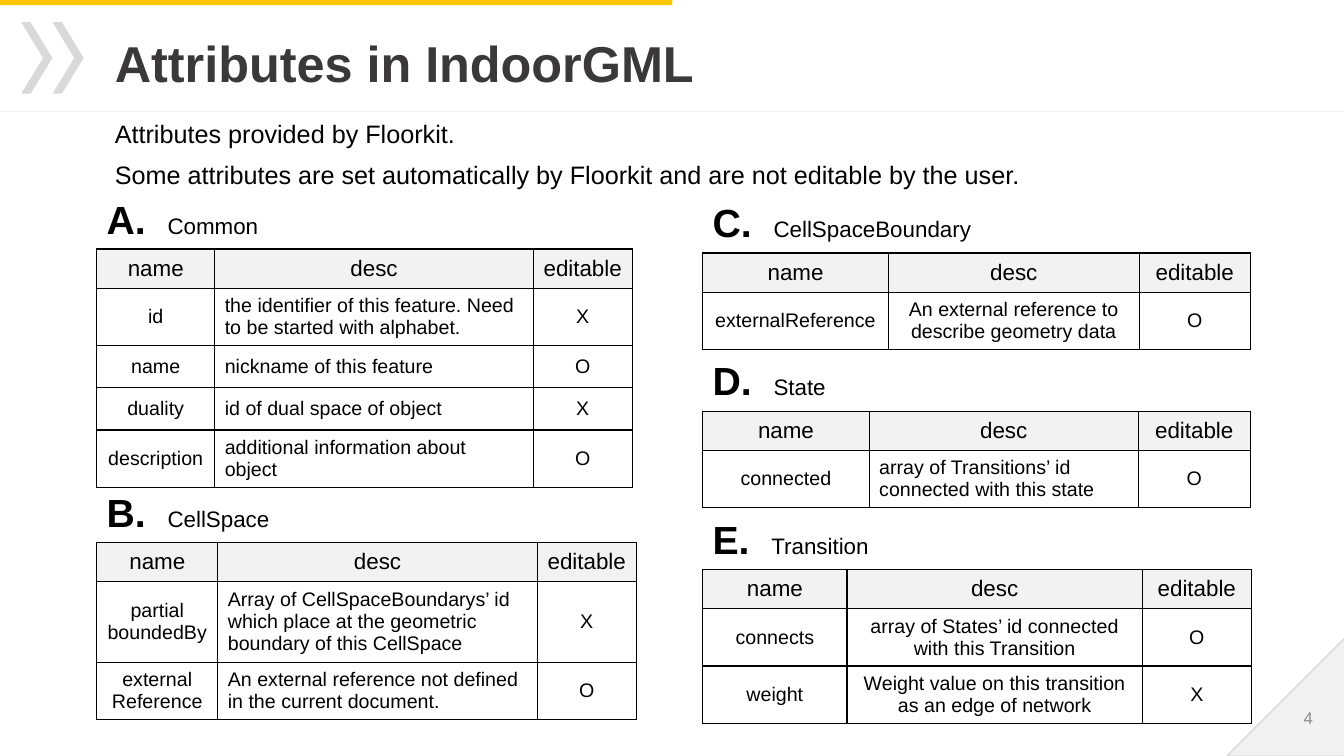
import pptx
import pptx.util
import pptx.dml.color
import pptx.enum.shapes
import pptx.enum.text
from lxml import etree

Inches, Pt = pptx.util.Inches, pptx.util.Pt
SHAPE = pptx.enum.shapes.MSO_SHAPE
ANCHOR = pptx.enum.text.MSO_ANCHOR
FIT = pptx.enum.text.MSO_AUTO_SIZE
LEFT, CENTER, RIGHT = (pptx.enum.text.PP_ALIGN.LEFT, pptx.enum.text.PP_ALIGN.CENTER,
                       pptx.enum.text.PP_ALIGN.RIGHT)

# Content
TITLE = "Attributes in IndoorGML"
INTRO = ["Attributes provided by Floorkit.",
         "Some attributes are set automatically by Floorkit and are not editable by the user."]
HEADER = ("name", "desc", "editable")
# letter, name, left, label top, label width, table top, column widths, desc alignment, rows
SECTIONS = [
    ("A", "Common", 0.96, 1.89, 1.72, 2.47, (1.17, 3.16, 0.98), LEFT, [
        ("id", "the identifier of this feature. Need to be started with alphabet.", "X"),
        ("name", "nickname of this feature", "O"),
        ("duality", "id of dual space of object", "X"),
        ("description", "additional information about object", "O")]),
    ("B", "CellSpace", 0.96, 4.8, 1.83, 5.38, (1.2, 3.17, 0.98), LEFT, [
        ("partial\nboundedBy", "Array of CellSpaceBoundarys’ id which place at the "
         "geometric boundary of this CellSpace", "X"),
        ("external\nReference", "An external reference not defined in the current document.",
         "O")]),
    ("C", "CellSpaceBoundary", 6.97, 1.92, 2.79, 2.51, (1.84, 2.49, 1.1), CENTER, [
        ("externalReference", "An external reference to describe geometry data", "O")]),
    ("D", "State", 6.97, 3.49, 1.34, 4.08, (1.65, 2.67, 1.11), LEFT, [
        ("connected", "array of Transitions’ id connected with this state", "O")]),
    ("E", "Transition", 6.97, 5.06, 1.76, 5.65, (1.43, 2.93, 1.08), CENTER, [
        ("connects", "array of States’ id connected with this Transition", "O"),
        ("weight", "Weight value on this transition as an edge of network", "X")]),
]
HEADER_H, ROW_H = 0.39, 0.42
NS = "http://schemas.openxmlformats.org/drawingml/2006/main"


def rgb(code):
    return pptx.dml.color.RGBColor.from_string(code)


def add_text(p, text, size=14, color="000000", bold=False, align=None):
    if align is not None:
        p.alignment = align
    r = p.add_run()
    r.text = text
    r.font.name, r.font.size, r.font.bold = "Arial", Pt(size), bold
    r.font.color.rgb = rgb(color)


def add_box(x, y, w, h, wrap=True, anchor=ANCHOR.TOP):
    tf = s.shapes.add_textbox(Inches(x), Inches(y), Inches(w), Inches(h)).text_frame
    tf.word_wrap, tf.vertical_anchor = wrap, anchor
    if not wrap:
        tf.auto_size = FIT.SHAPE_TO_FIT_TEXT
    return tf


def add_shape(kind, x, y, w, h, fill, line=None):
    sp = s.shapes.add_shape(kind, Inches(x), Inches(y), Inches(w), Inches(h))
    sp.shadow.inherit = False
    sp.fill.solid()
    sp.fill.fore_color.rgb = rgb(fill)
    if line:
        sp.line.color.rgb, sp.line.width = rgb(line), Pt(1)
    else:
        sp.line.fill.background()
    return sp


def add_borders(cell):
    tcPr = cell._tc.get_or_add_tcPr()
    for i, side in enumerate(("lnL", "lnR", "lnT", "lnB")):
        ln = etree.Element(f"{{{NS}}}{side}", w=str(Pt(1)))
        fill = etree.SubElement(ln, f"{{{NS}}}solidFill")
        etree.SubElement(fill, f"{{{NS}}}srgbClr", val="000000")
        tcPr.insert(i, ln)


def add_table(x, y, widths, desc_align, rows):
    grid = [HEADER] + rows
    height = HEADER_H + ROW_H * len(rows)
    table = s.shapes.add_table(len(grid), len(widths), Inches(x), Inches(y),
                               Inches(sum(widths)), Inches(height)).table
    for col, width in zip(table.columns, widths):
        col.width = Inches(width)
    for i, row in enumerate(grid):
        table.rows[i].height = Inches(ROW_H if i else HEADER_H)
        for j, text in enumerate(row):
            cell = table.cell(i, j)
            cell.vertical_anchor = ANCHOR.MIDDLE
            cell.fill.solid()
            cell.fill.fore_color.rgb = rgb("FFFFFF" if i else "F2F2F2")
            add_borders(cell)
            tf = cell.text_frame
            for n, part in enumerate(text.split("\n")):
                p = tf.add_paragraph() if n else tf.paragraphs[0]
                add_text(p, part, size=14 if i else 16,
                         align=desc_align if i and j == 1 else CENTER)


prs = pptx.Presentation()
prs.slide_width, prs.slide_height = Inches(13.33), Inches(7.5)
s = prs.slides.add_slide(prs.slide_layouts[6])

# Frame: top bar, rule, chevrons, corner
add_shape(SHAPE.RECTANGLE, 0, 0, 6.67, 0.05, "FEC800")
rule = s.shapes.add_connector(pptx.enum.shapes.MSO_CONNECTOR.STRAIGHT,
                              0, Inches(1.1), Inches(13.33), Inches(1.1))
rule.line.color.rgb, rule.line.width = rgb("F2F2F2"), Pt(0.5)
etree.SubElement(rule._element.spPr, f"{{{NS}}}effectLst")
for i in range(2):
    chevron = add_shape(SHAPE.CHEVRON, 0.21 + 0.31 * i, 0.22, 0.31, 0.71, "D9D9D9")
    chevron.adjustments[0] = 0.7
corner = add_shape(SHAPE.RIGHT_TRIANGLE, 12.17, 6.33, 1.17, 1.17, "F2F2F2", "D9D9D9")
corner._element.spPr.xfrm.set("flipH", "1")

# Page number, title and introduction
tf = add_box(10.12, 6.92, 3, 0.4, anchor=ANCHOR.MIDDLE)
add_text(tf.paragraphs[0], "4", size=12, color="8C8C8C", align=RIGHT)
tf = add_box(1.04, 0.26, 11.5, 0.79, anchor=ANCHOR.MIDDLE)
tf.paragraphs[0].line_spacing = 0.9
add_text(tf.paragraphs[0], TITLE, size=36, color="3A3838", bold=True)
tf = add_box(1.04, 1.12, 9.5, 0.84, wrap=False)
for i, line in enumerate(INTRO):
    p = tf.add_paragraph() if i else tf.paragraphs[0]
    p.space_after = Pt(8)
    add_text(p, line, size=18)

# Labelled attribute tables
for letter, name, x, label_y, label_w, table_y, widths, desc_align, rows in SECTIONS:
    p = add_box(x, label_y, label_w, 0.57, wrap=False).paragraphs[0]
    add_text(p, f"{letter}.  ", size=28, bold=True)
    add_text(p, name, size=16)
    add_table(x, table_y, widths, desc_align, rows)

prs.save("out.pptx")
